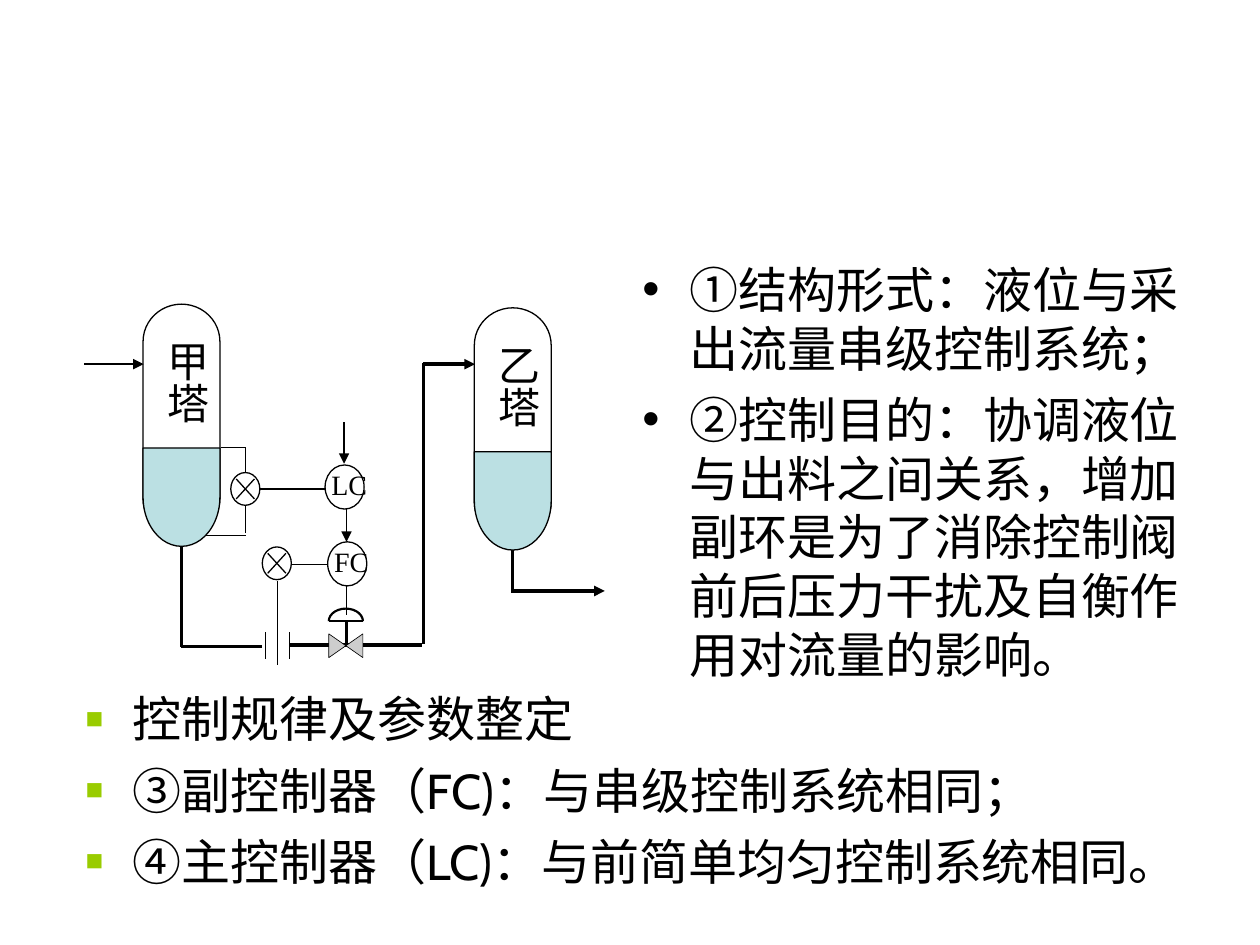
import math
from typing import NamedTuple

import pptx
import pptx.dml.color
import pptx.enum.shapes
import pptx.enum.text
import pptx.oxml
import pptx.oxml.ns
import pptx.util
from lxml import etree

Pt = pptx.util.Pt
Shapes = pptx.enum.shapes.MSO_SHAPE
BLACK = "000000"
WHITE = "FFFFFF"
LIQUID = "BBE0E3"
THIN, MEDIUM, ARROW, PIPE = 0.74, 1.25, 1.5, 2


class Line(NamedTuple):
    x1: float
    y1: float
    x2: float
    y2: float
    width: float = THIN
    arrow: bool = False


class Tower(NamedTuple):
    label: str
    x: float
    top: float


class Circle(NamedTuple):
    x: float
    y: float
    label: str = ""


class TextList(NamedTuple):
    box: tuple
    font: str
    bullet: str
    bullet_color: str
    bullet_size: int
    items: list


LINES = [
    Line(198, 285, 198, 309.6, arrow=True),
    Line(198, 333.4, 198, 351.4),
    Line(189.4, 279.4, 146.2, 279.4),
    Line(166.3, 322.6, 190.8, 322.6),
    Line(196.6, 241.2, 196.6, 265, arrow=True),
    Line(140.4, 306, 117.4, 306),
    Line(140.4, 272.2, 140.4, 255.6),
    Line(140.4, 255.6, 126, 255.6),
    Line(140.4, 304.6, 140.4, 288),
    Line(165.6, 361.4, 165.6, 376.6),
    Line(151.9, 361.4, 151.9, 376.6),
    Line(158.4, 331.9, 158.4, 380.2),
    Line(48.2, 208.1, 82.1, 208.1, ARROW, True),
    Line(103.7, 311, 103.7, 370, PIPE),
    Line(149.8, 369.4, 103.7, 369.4, PIPE),
    Line(165.6, 368.6, 241.2, 368.6, PIPE),
    Line(241.9, 367.9, 241.9, 207.4, PIPE),
    Line(241.9, 208.1, 271.4, 208.1, PIPE, True),
    Line(293, 303.8, 293, 337.7, PIPE),
    Line(292.3, 337.7, 345.6, 337.7, PIPE, True),
]
VALVE_STEM = [
    Line(198, 368.6, 198, 355, MEDIUM),
    Line(187.9, 355, 207.4, 355, MEDIUM),
]
TOWERS = [Tower("甲塔", 103.7, 173.9), Tower("乙塔", 293, 176)]
CONTROLLERS = [Circle(196.9, 278.3, "LC"), Circle(198.4, 322.2, "FC")]
SENSORS = [Circle(140.2, 279.4), Circle(158.2, 321.9)]
TEXT_LISTS = [
    TextList((360, 144.7, 336.2, 264.2), "Arial", "•", BLACK, 100, [
        "①结构形式：液位与采出流量串级控制系统；",
        "②控制目的：协调液位与出料之间关系，增加副环是为了消除控制阀前后压力干扰及自衡作用对流量的影响。",
    ]),
    TextList((41.8, 390.2, 648, 131.8), "Cabin", "■", "99CC00", 60, [
        "控制规律及参数整定",
        "③副控制器（FC)：与串级控制系统相同；",
        "④主控制器（LC)：与前简单均匀控制系统相同。",
    ]),
]


def rgb(color: str) -> pptx.dml.color.RGBColor:
    return pptx.dml.color.RGBColor.from_string(color)


def child(parent, tag: str, **attributes: str):
    element = etree.SubElement(parent, pptx.oxml.ns.qn(tag))
    for name, value in attributes.items():
        element.set(name, value)
    return element


def draw_line(slide, line: Line) -> None:
    connector = slide.shapes.add_connector(
        pptx.enum.shapes.MSO_CONNECTOR.STRAIGHT,
        Pt(line.x1), Pt(line.y1), Pt(line.x2), Pt(line.y2))
    connector.line.color.rgb = rgb(BLACK)
    connector.line.width = Pt(line.width)
    if line.arrow:
        child(connector.line._get_or_add_ln(), "a:tailEnd", type="triangle")
    child(connector._element.spPr, "a:effectLst")


def style(shape, fill: str = "", width: float = THIN) -> None:
    shape.shadow.inherit = False
    if fill:
        shape.fill.solid()
        shape.fill.fore_color.rgb = rgb(fill)
    else:
        shape.fill.background()
    shape.line.color.rgb = rgb(BLACK)
    shape.line.width = Pt(width)


def draw_shape(slide, kind, x: float, y: float, width: float, height: float,
               fill: str = "", rotation: float = 0) -> None:
    shape = slide.shapes.add_shape(
        kind, Pt(x - width / 2), Pt(y - height / 2), Pt(width), Pt(height))
    shape.rotation = rotation
    style(shape, fill)


def draw_outline(slide, points: list, closed: bool, fill: str, width: float) -> None:
    builder = slide.shapes.build_freeform(
        Pt(points[0][0]), Pt(points[0][1]))
    builder.add_line_segments([(Pt(x), Pt(y)) for x, y in points[1:]], close=closed)
    style(builder.convert_to_shape(), fill, width)


def add_text_frame(slide, box: tuple, margins: tuple):
    frame = slide.shapes.add_textbox(*map(Pt, box)).text_frame
    frame.margin_left = frame.margin_right = Pt(margins[0])
    frame.margin_top = frame.margin_bottom = Pt(margins[1])
    frame.word_wrap = True
    return frame


def set_font(paragraph, name: str, size: float) -> None:
    paragraph.font.name = name
    paragraph.font.size = Pt(size)
    paragraph.font.color.rgb = rgb(BLACK)


def draw_tower(slide, tower: Tower) -> None:
    draw_shape(slide, Shapes.FLOWCHART_TERMINATOR, tower.x, tower.top + 66.2,
               132.5, 43.9, rotation=90)
    draw_shape(slide, Shapes.FLOWCHART_DELAY, tower.x, tower.top + 110.2,
               56.2, 43.9, LIQUID, 90)
    frame = add_text_frame(slide, (tower.x - 22.2, tower.top + 13.6, 43.2, 82), (3.6, 7.2))
    frame._txBody.bodyPr.set("vert", "eaVert")
    paragraph = frame.paragraphs[0]
    paragraph.text = tower.label
    paragraph.alignment = pptx.enum.text.PP_ALIGN.CENTER
    paragraph.space_before = Pt(15)
    set_font(paragraph, "Times New Roman", 24)


def draw_controller(slide, controller: Circle) -> None:
    draw_shape(slide, Shapes.OVAL, controller.x, controller.y, 22.3, 25.2, WHITE)
    frame = add_text_frame(
        slide, (controller.x - 7.5, controller.y - 11.2, 26, 19.4), (0, 0))
    frame.paragraphs[0].text = controller.label
    set_font(frame.paragraphs[0], "Times New Roman", 16)


def draw_sensor(slide, sensor: Circle) -> None:
    draw_shape(slide, Shapes.OVAL, sensor.x, sensor.y, 16.6, 18.7, WHITE)
    for rise in (-5.7, 5.7):
        draw_line(slide, Line(sensor.x - 5.2, sensor.y - rise,
                              sensor.x + 5.2, sensor.y + rise))


def draw_valve(slide) -> None:
    left, right, top, bottom = 187.9, 207.4, 362.2, 375.8
    draw_outline(slide, [(right, bottom), (right, top), (left, bottom), (left, top)],
                 True, "CDCDCD", 0.37)
    for line in VALVE_STEM:
        draw_line(slide, line)
    angles = [math.pi * step / 14 for step in range(15)]
    dome = [(197.65 - 9.75 * math.cos(angle), 355 - 7.2 * math.sin(angle))
            for angle in angles]
    draw_outline(slide, dome, False, "", MEDIUM)


def draw_text_list(slide, text_list: TextList) -> None:
    frame = add_text_frame(slide, text_list.box, (7.2, 3.6))
    for index, item in enumerate(text_list.items):
        paragraph = frame.add_paragraph() if index else frame.paragraphs[0]
        paragraph.text = item
        paragraph.space_before = Pt(7)
        properties = paragraph._p.get_or_add_pPr()
        properties.set("marL", str(Pt(27)))
        properties.set("indent", str(-Pt(27)))
        properties.set("hangingPunct", "0")
        child(child(properties, "a:buClr"), "a:srgbClr", val=text_list.bullet_color)
        child(properties, "a:buSzPct", val=str(text_list.bullet_size * 1000))
        child(properties, "a:buFont", typeface="Arial")
        child(properties, "a:buChar", char=text_list.bullet)
        set_font(paragraph, text_list.font, 28)


presentation = pptx.Presentation()
presentation.slide_width = Pt(720)
presentation.slide_height = Pt(540)
slide = presentation.slides.add_slide(presentation.slide_layouts[6])
for line in LINES:
    draw_line(slide, line)
for tower in TOWERS:
    draw_tower(slide, tower)
for controller in CONTROLLERS:
    draw_controller(slide, controller)
for sensor in SENSORS:
    draw_sensor(slide, sensor)
draw_valve(slide)
for text_list in TEXT_LISTS:
    draw_text_list(slide, text_list)
presentation.save("out.pptx")
